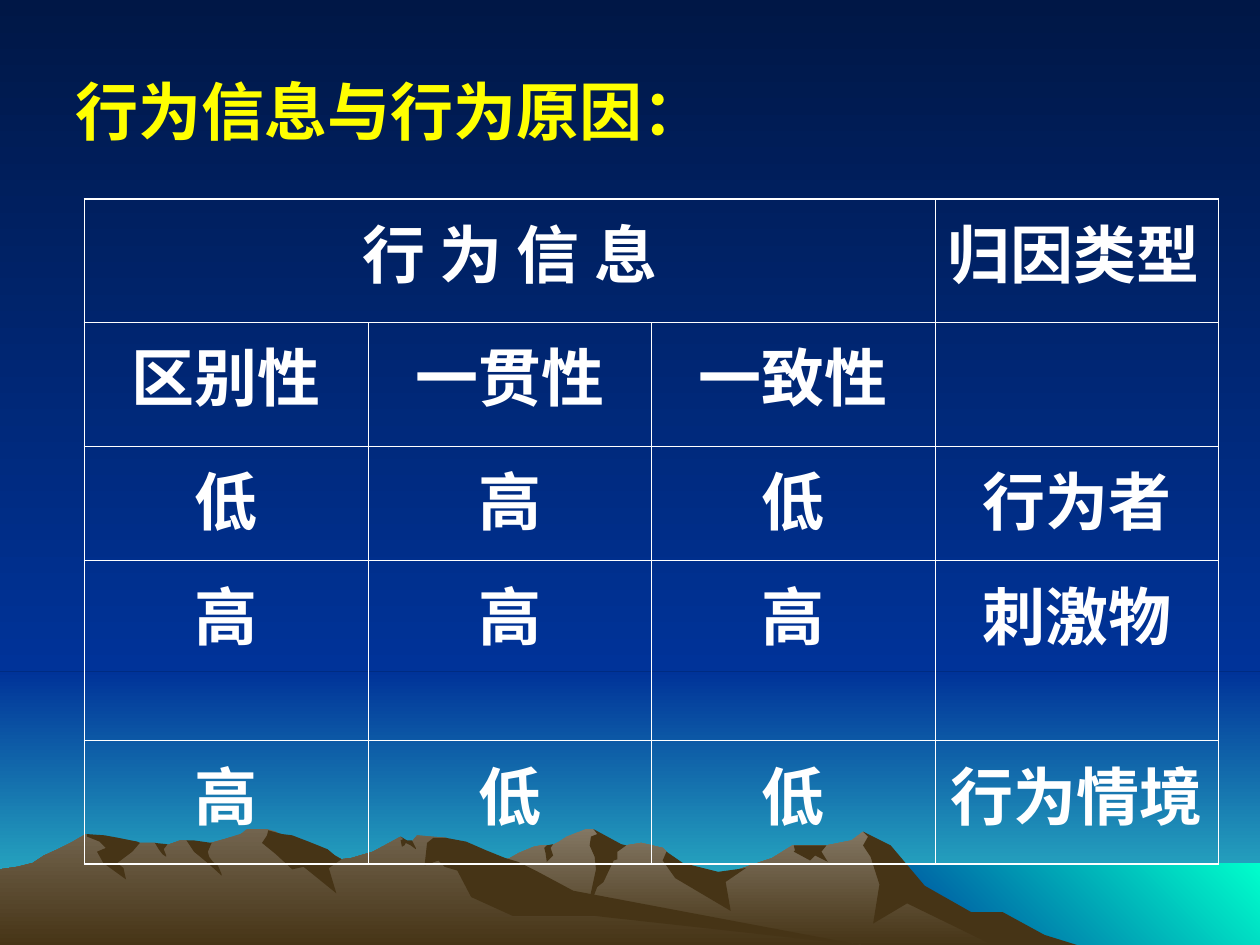
from dataclasses import dataclass
from lxml.etree import SubElement
from pptx import Presentation
from pptx.dml.color import RGBColor
from pptx.enum.shapes import MSO_SHAPE
from pptx.enum.text import MSO_ANCHOR, PP_ALIGN
from pptx.oxml.ns import qn
from pptx.util import Inches, Pt


@dataclass(frozen=True)
class Theme:
    font: str = "Arial"
    size: int = 36
    title: str = "FFFF00"
    text: str = "FFFFFF"
    sky: tuple = ("001746", "003399", 90)
    haze: tuple = ("003399", "33CCCC", 90)
    sea: tuple = ("00FFCC", "003399", 135)
    far: tuple = ("837763", "463416", 90)
    near: tuple = ("72644E", "463416", 90)
    shade: str = "463416"
    thin: float = 0.45
    thick: float = 1.08


THEME = Theme()
UNIT = Inches(0.01)
WIDE, HIGH = 1000, 750
HORIZON = 533

# Outlines as "x,y" points in hundredths of an inch.
FAR_RIDGE = """802,740 778,727 764,723 723,698 702,671 685,660 676,667 656,671 629,671
613,681 566,697 536,690 529,676 526,673 509,669 497,671 486,673 474,661 471,658 465,658
450,664 444,668 438,671 430,671 424,672 412,677 405,681 394,685 355,698 327,709 277,739
258,751 821,751"""
NEAR_RIDGE = """690,751 667,748 432,712 354,665 331,663 327,668 323,668 318,664 296,676
279,681 271,682 260,676 236,681 223,663 219,660 212,658 196,658 191,662 178,666 160,671
148,667 143,667 132,671 128,671 123,669 111,669 94,671 68,662 56,669 46,674 35,679 26,685
14,688 0,690 0,751"""
FAR_SHADES = [
    """796,724 771,724 734,703 707,671 685,660 689,664 685,671 691,680 698,702 693,733
    720,717 792,752 858,751 829,742""",
    """471,658 474,662 469,664 468,671 472,680 473,690 465,727 474,704 479,700 487,683
    490,682 490,676 497,671 493,670""",
    "529,676 526,683 536,697 580,723 576,700 592,689 570,692 542,685",
    "650,671 630,671 631,675 630,676 643,683 647,679 657,684 652,676 656,671",
    "433,677 432,673 434,671 439,670 437,673 439,679 434,684",
]
NEAR_SHADES = [
    """212,663 208,669 219,678 232,690 241,688 267,709 261,689 271,682 266,679 260,674
    245,668 232,663 224,662 213,659""",
    """370,668 354,665 344,665 339,669 337,687 348,683 353,688 363,691 374,712 407,727
    472,727 690,751 683,750 455,707 427,692 411,684 401,681 386,675""",
    """318,667 320,666 318,664 323,667 327,667 330,673 330,674 326,671 322,669 321,671
    319,672""",
    """154,667 161,668 168,669 165,676 166,680 169,684 173,687 176,694 176,695 165,685
    154,676 148,667""",
    "133,670 130,674 132,679 132,680 129,678 126,674 123,669",
    """109,668 111,669 105,676 93,685 98,689 100,698 82,685 77,676 84,673 79,668 69,664
    69,662 83,663 94,665""",
]

COLS = [2.25] * 4
ROWS = [0.98, 0.98, 0.91, 1.43, 0.98]
CELLS = [
    ["行 为 信 息", "", "", "归因类型"],
    ["区别性", "一贯性", "一致性", ""],
    ["低", "高", "低", "行为者"],
    ["高", "高", "高", "刺激物"],
    ["高", "低", "低", "行为情境"],
]


def paint(fill, look):
    """Fill with one colour, or with a (start, end, clockwise angle) gradient."""
    if isinstance(look, str):
        fill.solid()
        fill.fore_color.rgb = RGBColor.from_string(look)
        return
    fill.gradient()
    fill.gradient_angle = 360 - look[2]
    for stop, tint in zip(fill.gradient_stops, look):
        stop.color.rgb = RGBColor.from_string(tint)


def finish(shape, look):
    paint(shape.fill, look)
    shape.line.fill.background()
    shape.shadow.inherit = False


def add_band(slide, left, top, wide, high, look):
    box = [n * UNIT for n in (left, top, wide, high)]
    finish(slide.shapes.add_shape(MSO_SHAPE.RECTANGLE, *box), look)


def add_land(slide, outline, look):
    dots = [tuple(map(int, dot.split(","))) for dot in outline.split()]
    pen = slide.shapes.build_freeform(*dots[0], scale=UNIT)
    pen.add_line_segments(dots[1:], close=True)
    finish(pen.convert_to_shape(), look)


def add_scene(slide):
    paint(slide.background.fill, THEME.sky)
    add_band(slide, 0, HORIZON, WIDE, HIGH - HORIZON, THEME.haze)
    add_band(slide, 0, 0, WIDE, HORIZON, THEME.sky)
    add_band(slide, 683, 685, 317, 67, THEME.sea)
    for ridge, look, shades in (
        (FAR_RIDGE, THEME.far, FAR_SHADES),
        (NEAR_RIDGE, THEME.near, NEAR_SHADES),
    ):
        add_land(slide, ridge, look)
        for shade in shades:
            add_land(slide, shade, THEME.shade)


def add_run(para, text, tint):
    run = para.add_run()
    run.text = text
    font = run.font
    font.name, font.size, font.bold = THEME.font, Pt(THEME.size), True
    font.color.rgb = RGBColor.from_string(tint)


def add_title(slide, text):
    box = slide.shapes.add_textbox(*map(Inches, (0.5, 0.25, 9, 1.25)))
    frame = box.text_frame
    frame.word_wrap = True
    frame.vertical_anchor = MSO_ANCHOR.MIDDLE
    add_run(frame.paragraphs[0], text, THEME.title)


def add_edges(cell, outer):
    """Draw the four borders, thick on the sides that are outer."""
    props = cell._tc.get_or_add_tcPr()
    for spot, (side, thick) in enumerate(zip("LRTB", outer)):
        width = Pt(THEME.thick if thick else THEME.thin)
        line = SubElement(props, qn(f"a:ln{side}"), w=str(int(width)))
        fill = SubElement(line, qn("a:solidFill"))
        SubElement(fill, qn("a:srgbClr"), val=THEME.text)
        props.insert(spot, line)


def add_grid(slide):
    high, wide = len(ROWS), len(COLS)
    box = map(Inches, (0.67, 1.58, sum(COLS), sum(ROWS)))
    table = slide.shapes.add_table(high, wide, *box).table
    table.first_row = table.horz_banding = False
    for col, size in zip(table.columns, COLS):
        col.width = Inches(size)
    for row, size in zip(table.rows, ROWS):
        row.height = Inches(size)
    table.cell(0, 0).merge(table.cell(0, 2))
    for r, line in enumerate(CELLS):
        for c, text in enumerate(line):
            cell = table.cell(r, c)
            cell.fill.background()
            add_edges(cell, (c == 0, c == wide - 1, r == 0, r == high - 1))
            if text:
                para = cell.text_frame.paragraphs[0]
                corner = r == 0 and c == wide - 1
                para.alignment = PP_ALIGN.LEFT if corner else PP_ALIGN.CENTER
                add_run(para, text, THEME.text)


def main():
    deck = Presentation()
    deck.slide_width, deck.slide_height = WIDE * UNIT, HIGH * UNIT
    slide = deck.slides.add_slide(deck.slide_layouts[6])
    add_scene(slide)
    add_title(slide, "行为信息与行为原因：")
    add_grid(slide)
    deck.save("out.pptx")


if __name__ == "__main__":
    main()
